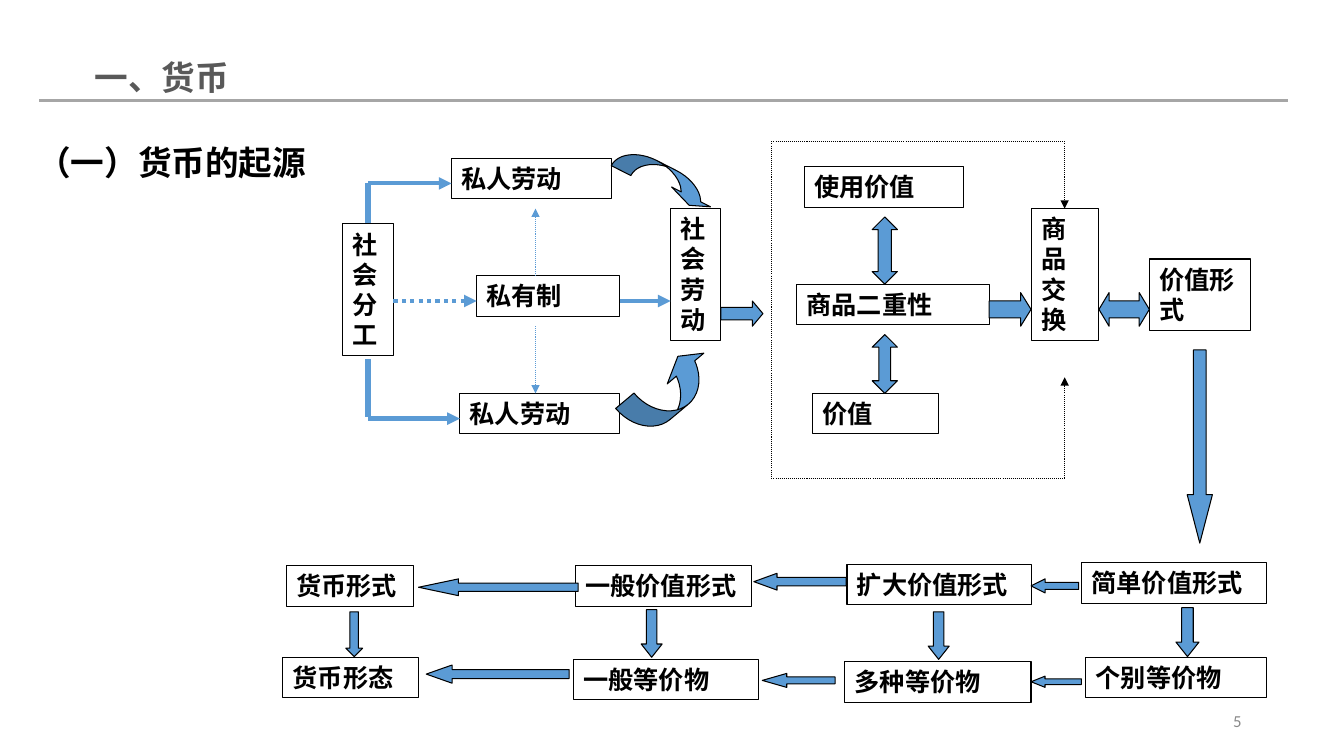
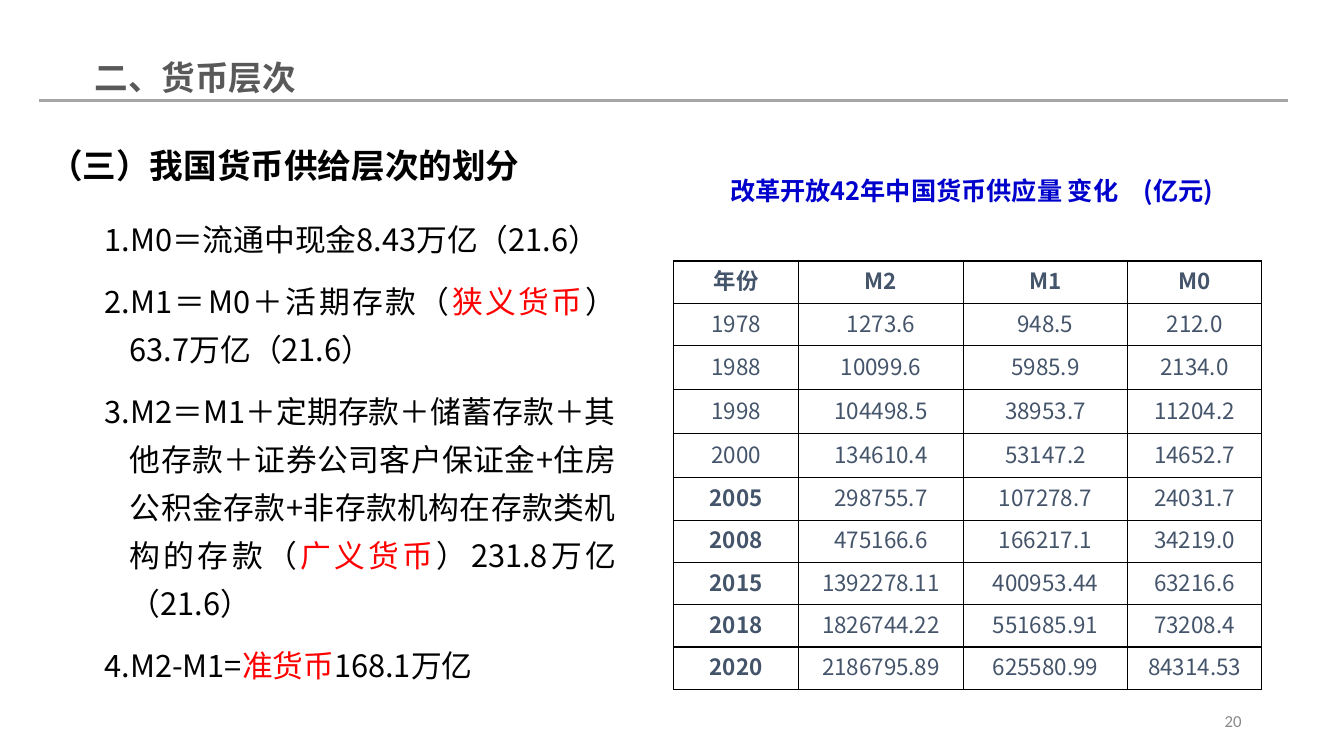
from lxml.etree import SubElement
from pptx import Presentation
from pptx.dml.color import RGBColor
from pptx.enum.dml import MSO_LINE
from pptx.enum.shapes import MSO_CONNECTOR, MSO_SHAPE
from pptx.enum.text import MSO_ANCHOR, PP_ALIGN
from pptx.oxml.ns import qn
from pptx.util import Pt

FONT = "Noto Sans CJK SC"
NUMBER_FONT = "Calibri"
BLACK, WHITE, BLUE, RED = "000000", "FFFFFF", "5B9BD5", "FF0000"
TITLE_GREY, RULE_GREY, NUMBER_GREY = "595959", "A6A6A6", "898989"
TABLE_TEXT, CAPTION_BLUE = "44546A", "0000CC"
BOX_HEIGHT = 29


def color(value):
    return RGBColor.from_string(value)


def add_run(paragraph, text, size, ink=BLACK, bold=False, font=FONT):
    run = paragraph.add_run()
    run.text = text
    run.font.size = Pt(size)
    run.font.bold = bold
    run.font.color.rgb = color(ink)
    run.font.name = font
    SubElement(run.font._element, qn("a:ea")).set("typeface", font)


def add_text(slide, box, text, size, ink=BLACK, bold=True, font=FONT,
             align=PP_ALIGN.LEFT, spacing=1.2, anchor=MSO_ANCHOR.TOP):
    shape = slide.shapes.add_textbox(*map(Pt, box))
    frame = shape.text_frame
    frame.word_wrap = True
    frame.vertical_anchor = anchor
    paragraph = frame.paragraphs[0]
    paragraph.alignment = align
    paragraph.line_spacing = Pt(size * spacing)
    add_run(paragraph, text, size, ink, bold, font)


def add_line(slide, origin, start, end, ink, width, dotted=False, arrow=False):
    left, top = origin
    connector = slide.shapes.add_connector(
        MSO_CONNECTOR.STRAIGHT, Pt(left + start[0]), Pt(top + start[1]),
        Pt(left + end[0]), Pt(top + end[1]))
    connector.line.color.rgb = color(ink)
    connector.line.width = Pt(width)
    if dotted:
        connector.line.dash_style = MSO_LINE.ROUND_DOT
    if arrow:
        SubElement(connector.line._get_or_add_ln(), qn("a:tailEnd")).set("type", "triangle")
    SubElement(connector._element.spPr, qn("a:effectLst"))


def add_outlined(slide, kind, origin, box, fill):
    left, top, width, height = box
    shape = slide.shapes.add_shape(
        kind, Pt(origin[0] + left), Pt(origin[1] + top), Pt(width), Pt(height))
    shape.shadow.inherit = False
    shape.fill.solid()
    shape.fill.fore_color.rgb = color(fill)
    shape.line.color.rgb = color(BLACK)
    shape.line.width = Pt(0.75)
    return shape


def add_label(slide, origin, text, left, top, width, height=BOX_HEIGHT):
    shape = add_outlined(slide, MSO_SHAPE.RECTANGLE, origin, (left, top, width, height), WHITE)
    frame = shape.text_frame
    frame.word_wrap = True
    frame.vertical_anchor = MSO_ANCHOR.TOP
    paragraph = frame.paragraphs[0]
    paragraph.alignment = PP_ALIGN.LEFT
    paragraph.line_spacing = Pt(21.6)
    add_run(paragraph, text, 18, bold=True)


def add_arrow(slide, origin, kind, box, adjustments, rotation=0):
    shape = add_outlined(slide, kind, origin, box, BLUE)
    for index, value in enumerate(adjustments):
        shape.adjustments[index] = value
    shape.rotation = rotation


def add_page(presentation, title, number):
    slide = presentation.slides.add_slide(presentation.slide_layouts[6])
    add_line(slide, (28, 72), (0, 0), (892, 0), RULE_GREY, 2.25)
    add_text(slide, (60.5, 37, 480, 36), title, 24, TITLE_GREY)
    add_text(slide, (678, 500.5, 216, 29), number, 12, NUMBER_GREY, False,
             NUMBER_FONT, PP_ALIGN.RIGHT, anchor=MSO_ANCHOR.MIDDLE)
    return slide


def labour_region(slide, origin):
    for label in (
        ("社会分工", 0, 47, 36, 94),
        ("私人劳动", 77.5, 0, 114),
        ("私有制", 95.5, 84, 102),
        ("私人劳动", 83.5, 168, 114),
        ("社会劳动", 234, 36, 36, 94),
    ):
        add_label(slide, origin, *label)
    for start, end, width, dotted, arrow in (
        ((36, 102), (95.5, 102), 3, True, True),
        ((18, 46), (18, 17.5), 4.5, False, False),
        ((18, 143.5), (18, 185), 4.5, False, False),
        ((18, 186), (83.5, 186), 3, False, True),
        ((18, 18), (77.5, 18), 3, False, True),
        ((198, 102), (234, 102), 3, False, True),
        ((137.5, 84), (137.5, 36), 0.75, True, True),
        ((137.5, 120), (137.5, 168), 0.75, True, True),
    ):
        add_line(slide, origin, start, end, BLUE, width, dotted, arrow)
    for arrow in (
        (MSO_SHAPE.CURVED_UP_ARROW, (196, 151, 75, 31), (0.55, 1.1, 0.33), 320),
        (MSO_SHAPE.CURVED_DOWN_ARROW, (191.5, 6, 78, 18), (0.87, 1.73, 0.33), 27),
        (MSO_SHAPE.RIGHT_ARROW, (270, 102, 30, 18), (0.5, 0.42)),
    ):
        add_arrow(slide, origin, *arrow)


def exchange_region(slide, origin):
    right, bottom = 209.5, 240.5
    for label in (
        ("使用价值", 23.5, 18, 114),
        ("商品二重性", 18, 102, 138),
        ("价值", 29.5, 180, 90),
        ("商品交换", 185.5, 48, 48, 94),
        ("价值形式", 270, 84, 72, 51),
    ):
        add_label(slide, origin, *label)
    for start, end, arrow in (
        ((0, 0), (0, bottom), False),
        ((0, bottom), (right, bottom), False),
        ((0, 0), (right, 0), False),
        ((right, 0), (right, 48), True),
        ((right, bottom), (right, 168.5), True),
    ):
        add_line(slide, origin, start, end, BLACK, 0.75, True, arrow)
    for kind, box, head in (
        (MSO_SHAPE.UP_DOWN_ARROW, (72, 54, 18, 48), 0.53),
        (MSO_SHAPE.UP_DOWN_ARROW, (72, 138, 18, 42), 0.47),
        (MSO_SHAPE.RIGHT_ARROW, (155.5, 108, 30, 24), 0.31),
        (MSO_SHAPE.LEFT_RIGHT_ARROW, (234, 108, 36, 24), 0.3),
        (MSO_SHAPE.DOWN_ARROW, (297, 149, 18, 138), 1.92),
    ):
        add_arrow(slide, origin, kind, box, (0.5, head))


def value_form_region(slide, origin):
    for label in (
        ("货币形式", 2.5, 2, 91),
        ("一般价值形式", 209, 2, 126),
        ("扩大价值形式", 403, 1, 132),
        ("简单价值形式", 570.5, 0, 132),
        ("货币形态", 0, 67.5, 97),
        ("一般等价物", 207.5, 69, 132),
        ("多种等价物", 401.5, 70.5, 133),
        ("个别等价物", 573.5, 67.5, 129),
    ):
        add_label(slide, origin, *label)
    for box, head in (
        ((534.5, 11.5, 34, 10), 1),
        ((336.5, 7.5, 66, 12), 1.38),
        ((97, 11.5, 114, 12), 2.38),
        ((534.5, 81, 36, 8), 1.25),
        ((342.5, 79, 52, 10), 1.75),
        ((102.5, 73, 102, 13), 1.42),
    ):
        add_arrow(slide, origin, MSO_SHAPE.LEFT_ARROW, box, (0.5, head))
    for box, head in (
        ((45, 35, 12, 32), 0.5),
        ((256, 33.5, 15, 34), 0.63),
        ((461, 35, 15, 34), 0.63),
        ((638, 32, 16.5, 35), 0.63),
    ):
        add_arrow(slide, origin, MSO_SHAPE.DOWN_ARROW, box, (0.5, head))


def money_layers(slide, box):
    frame = slide.shapes.add_textbox(*map(Pt, box)).text_frame
    frame.word_wrap = True
    layers = (
        ("1.M0＝流通中现金8.43万亿（21.6）",),
        ("2.M1＝M0＋活期存款（", "狭义货币", "）63.7万亿（21.6）"),
        ("3.M2＝M1＋定期存款＋储蓄存款＋其他存款＋证券公司客户保证金+住房公积金存款"
         "+非存款机构在存款类机构的存款（", "广义货币", "）231.8万亿（21.6）"),
        ("4.M2-M1=", "准货币", "168.1万亿"),
    )
    for index, parts in enumerate(layers):
        paragraph = frame.add_paragraph() if index else frame.paragraphs[0]
        properties = paragraph._p.get_or_add_pPr()
        properties.set("marL", str(Pt(18)))
        properties.set("indent", str(-Pt(18)))
        paragraph.alignment = PP_ALIGN.JUSTIFY if index else PP_ALIGN.LEFT
        paragraph.line_spacing = Pt(34.3)
        if index:
            paragraph.space_before = Pt(10)
        for position, text in enumerate(parts):
            add_run(paragraph, text, 22, RED if position == 1 else BLACK)


def add_borders(cell):
    properties = cell._tc.get_or_add_tcPr()
    for side in ("lnL", "lnR", "lnT", "lnB"):
        line = SubElement(properties, qn(f"a:{side}"))
        line.set("w", str(Pt(1)))
        fill = SubElement(line, qn("a:solidFill"))
        SubElement(fill, qn("a:srgbClr")).set("val", BLACK)


def supply_table(slide, left, top):
    rows = (
        ("年份", "M2", "M1", "M0"),
        ("1978", "1273.6", "948.5", "212.0"),
        ("1988", "10099.6", "5985.9", "2134.0"),
        ("1998", "104498.5", "38953.7", "11204.2"),
        ("2000", "134610.4", "53147.2", "14652.7"),
        ("2005", "298755.7", "107278.7", "24031.7"),
        ("2008", "475166.6", "166217.1", "34219.0"),
        ("2015", "1392278.11", "400953.44", "63216.6"),
        ("2018", "1826744.22", "551685.91", "73208.4"),
        ("2020", "2186795.89", "625580.99", "84314.53"),
    )
    widths = (89.5, 117.5, 117.5, 95.5)
    heights = [31.5 if 2 <= index <= 4 else 30.2 for index in range(len(rows))]
    table = slide.shapes.add_table(
        len(rows), len(widths), Pt(left), Pt(top), Pt(sum(widths)), Pt(sum(heights))).table
    table.first_row = False
    table.horz_banding = False
    for column, width in zip(table.columns, widths):
        column.width = Pt(width)
    for row_index, values in enumerate(rows):
        table.rows[row_index].height = Pt(heights[row_index])
        for column_index, text in enumerate(values):
            cell = table.cell(row_index, column_index)
            add_borders(cell)
            cell.fill.background()
            cell.vertical_anchor = MSO_ANCHOR.MIDDLE
            paragraph = cell.text_frame.paragraphs[0]
            paragraph.alignment = PP_ALIGN.CENTER
            paragraph.line_spacing = Pt(20)
            bold = row_index == 0 or (column_index == 0 and row_index >= 5)
            add_run(paragraph, text, 16, TABLE_TEXT, bold)


def origin_slide(presentation):
    slide = add_page(presentation, "一、货币", "5")
    add_text(slide, (19.5, 92, 220, 40), "（一）货币的起源", 24, spacing=1.44)
    labour_region(slide, (245, 113))
    exchange_region(slide, (551, 101))
    value_form_region(slide, (202, 402))


def layers_slide(presentation):
    slide = add_page(presentation, "二、货币层次", "20")
    add_text(slide, (28, 94.5, 496, 39), "（三）我国货币供给层次的划分", 24, spacing=1.44)
    money_layers(slide, (67.7, 146, 379.4, 356))
    supply_table(slide, 481, 186.5)
    add_text(slide, (474, 122, 440, 29), "改革开放42年中国货币供应量 变化　(亿元)", 18,
             CAPTION_BLUE, align=PP_ALIGN.CENTER)


def main():
    presentation = Presentation()
    presentation.slide_width = Pt(960)
    presentation.slide_height = Pt(540)
    origin_slide(presentation)
    layers_slide(presentation)
    presentation.save("out.pptx")


if __name__ == "__main__":
    main()
